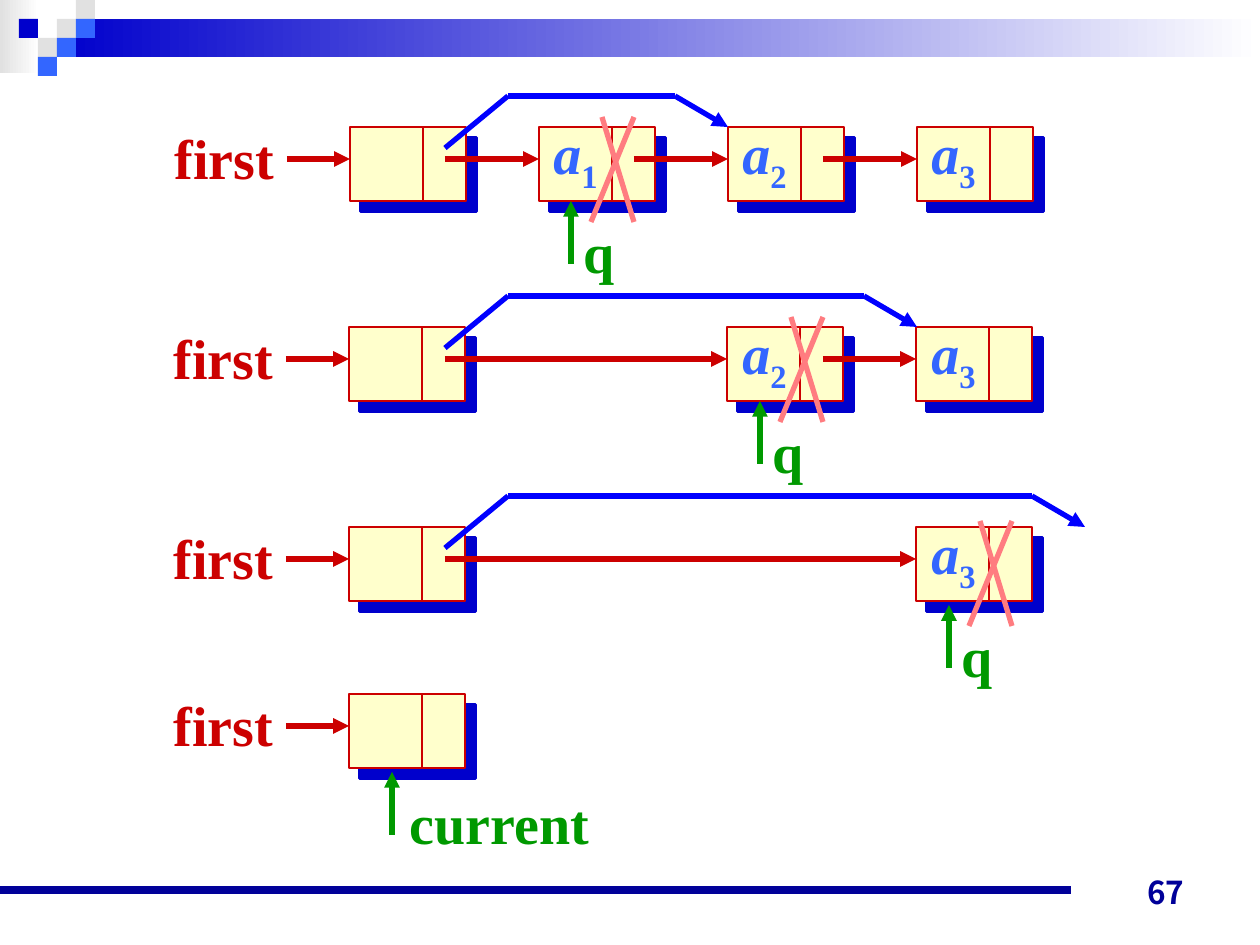
from dataclasses import dataclass
from itertools import pairwise
from typing import Optional

from lxml import etree
from pptx import Presentation
from pptx import util as u
from pptx.dml.color import RGBColor
from pptx.enum import shapes, text
from pptx.oxml import ns

PX = 914400 / 126
BLUE = RGBColor(0x00, 0x00, 0xCC)
SKY = RGBColor(0x33, 0x66, 0xFF)
LINK_BLUE = RGBColor(0x00, 0x00, 0xFF)
NAVY = RGBColor(0x00, 0x00, 0x99)
GRAY = RGBColor(0xE1, 0xE1, 0xE1)
WHITE = RGBColor(0xFF, 0xFF, 0xFF)
RED = RGBColor(0xCC, 0x00, 0x00)
CREAM = RGBColor(0xFF, 0xFF, 0xCC)
GREEN = RGBColor(0x00, 0x99, 0x00)
PINK = RGBColor(0xFF, 0x7C, 0x80)

SERIF = "Times New Roman"
SANS = "Noto Sans CJK JP"
FIRST_COLUMN, PITCH = 350, 189
NODE_WIDTH, NODE_HEIGHT, DATA_WIDTH = 116, 74, 73
LINK_X, LINK_Y = 95, 32
SQUARE = 19


@dataclass(frozen=True)
class Row:
    top: int
    nodes: tuple[int, ...]
    pointed: int
    pointer: str
    label_dx: int
    label_width: int
    shift: int = -1
    drop: int = 0
    bypass_end: Optional[int] = None


ROWS = (
    Row(127, (0, 1, 2, 3), 1, "q", 0, 57, shift=0, bypass_end=728),
    Row(327, (0, 2, 3), 2, "q", 0, 57, bypass_end=917),
    Row(527, (0, 3), 3, "q", 0, 57, drop=4, bypass_end=1085),
    Row(694, (0,), 0, "current", 5, 205, drop=4),
)
SQUARES = (
    (3, 1, GRAY), (4, 0, GRAY), (4, 1, SKY), (2, 2, GRAY),
    (1, 1, BLUE), (3, 2, SKY), (2, 3, SKY),
)


def px(value: int) -> u.Emu:
    return u.Emu(round(value * PX))


def column_x(column: int) -> int:
    return FIRST_COLUMN + column * PITCH


def add_box(slide, left: int, top: int, width: int, height: int, color: RGBColor):
    shape = slide.shapes.add_shape(
        shapes.MSO_SHAPE.RECTANGLE, px(left), px(top), px(width), px(height))
    shape.shadow.inherit = False
    shape.fill.solid()
    shape.fill.fore_color.rgb = color
    shape.line.fill.background()
    return shape


def fade_to_white(shape, color: RGBColor) -> None:
    shape.fill.gradient()
    shape.fill.gradient_angle = 0
    for stop, stop_color, position in zip(
            shape.fill.gradient_stops, (color, WHITE), (0, 1)):
        stop.color.rgb = stop_color
        stop.position = position


def add_line(slide, start: tuple[int, int], end: tuple[int, int], color: RGBColor,
             width: float = 3, arrow: bool = False) -> None:
    connector = slide.shapes.add_connector(
        shapes.MSO_CONNECTOR.STRAIGHT, *map(px, start + end))
    connector.line.color.rgb = color
    connector.line.width = u.Pt(width)
    if arrow:
        etree.SubElement(connector.line._get_or_add_ln(),
                         ns.qn("a:tailEnd"), type="triangle")
    etree.SubElement(connector._element.spPr, ns.qn("a:effectLst"))


def add_text(slide, left: int, top: int, width: int, height: int, words: str,
             color: RGBColor, size: int = 32, font: str = SERIF,
             align=text.PP_ALIGN.CENTER, anchor=text.MSO_ANCHOR.MIDDLE):
    box = slide.shapes.add_textbox(px(left), px(top), px(width), px(height))
    frame = box.text_frame
    frame.text = words
    frame.word_wrap = False
    frame.vertical_anchor = anchor
    paragraph = frame.paragraphs[0]
    paragraph.alignment = align
    for run in paragraph.runs:
        run.font.name = font
        run.font.size = u.Pt(size)
        run.font.bold = True
        run.font.color.rgb = color
    return paragraph


def add_element_label(slide, left: int, top: int, index: int) -> None:
    paragraph = add_text(slide, left + 2, top - 15, 69, 89, "a", SKY)
    paragraph.runs[0].font.italic = True
    subscript = paragraph.add_run()
    subscript.text = str(index)
    font = subscript.font
    font.name, font.size, font.bold = SERIF, u.Pt(32), True
    font.color.rgb = SKY
    font._element.set("baseline", "-25000")


def add_node(slide, left: int, top: int) -> None:
    node = add_box(slide, left, top, NODE_WIDTH, NODE_HEIGHT, CREAM)
    node.line.color.rgb = RED
    node.line.width = u.Pt(1.5)
    effects = node._element.spPr.find(ns.qn("a:effectLst"))
    shadow = etree.SubElement(
        effects, ns.qn("a:outerShdw"), blurRad="0", dist=str(u.Pt(8.5)),
        dir="2700000", algn="ctr", rotWithShape="0")
    etree.SubElement(shadow, ns.qn("a:srgbClr"), val=str(BLUE))
    divider = left + DATA_WIDTH
    add_line(slide, (divider, top), (divider, top + NODE_HEIGHT), RED, 1.5)


def add_bypass(slide, top: int, end: int) -> None:
    points = ((445, top + 21), (508, top - 31), (end - 53, top - 31), (end, top))
    for start, finish in pairwise(points):
        add_line(slide, start, finish, LINK_BLUE, arrow=finish == points[-1])


def add_cross(slide, left: int, top: int) -> None:
    for upper, lower in ((95, 52), (63, 95)):
        add_line(slide, (left + upper, top - 10), (left + lower, top + 95), PINK)


def add_row(slide, row: Row) -> None:
    link_y = row.top + LINK_Y
    head = FIRST_COLUMN + row.shift
    for column in row.nodes:
        add_node(slide, column_x(column) + row.shift, row.top)
    for column in row.nodes[1:]:
        add_element_label(slide, column_x(column), row.top, column)
    for source, target in pairwise(row.nodes):
        add_line(slide, (column_x(source) + LINK_X, link_y),
                 (column_x(target) + row.shift, link_y), RED, arrow=True)
    add_text(slide, head - 188, row.top - 10, 125, 81, "first", RED)
    add_line(slide, (head - 63, link_y), (head, link_y), RED, arrow=True)
    if row.bypass_end is not None:
        add_bypass(slide, row.top, row.bypass_end)
        add_cross(slide, column_x(row.pointed), row.top + row.drop)
    pointer_x = column_x(row.pointed) + 32 + (10 if row.pointed == 0 else 0)
    tip = row.top + NODE_HEIGHT + row.drop
    add_line(slide, (pointer_x, tip + 63), (pointer_x, tip), GREEN, arrow=True)
    add_text(slide, pointer_x + row.label_dx, tip + 10, row.label_width, 81,
             row.pointer, GREEN)


def add_frame(slide) -> None:
    fade_to_white(add_box(slide, 0, 0, 39, 73, GRAY), GRAY)
    fade_to_white(add_box(slide, 57, 19, 1203, 38, BLUE), BLUE)
    for column, row, color in SQUARES:
        add_box(slide, column * SQUARE, row * SQUARE, SQUARE, SQUARE, color)
    add_line(slide, (0, 890), (1071, 890), NAVY, 4.5)
    add_text(slide, 903, 854, 294, 63, "67", NAVY, 18, SANS,
             text.PP_ALIGN.RIGHT, text.MSO_ANCHOR.BOTTOM)


def main() -> None:
    presentation = Presentation()
    presentation.slide_width, presentation.slide_height = px(1260), px(945)
    slide = presentation.slides.add_slide(presentation.slide_layouts[6])
    add_frame(slide)
    for row in ROWS:
        add_row(slide, row)
    presentation.save("out.pptx")


if __name__ == "__main__":
    main()
